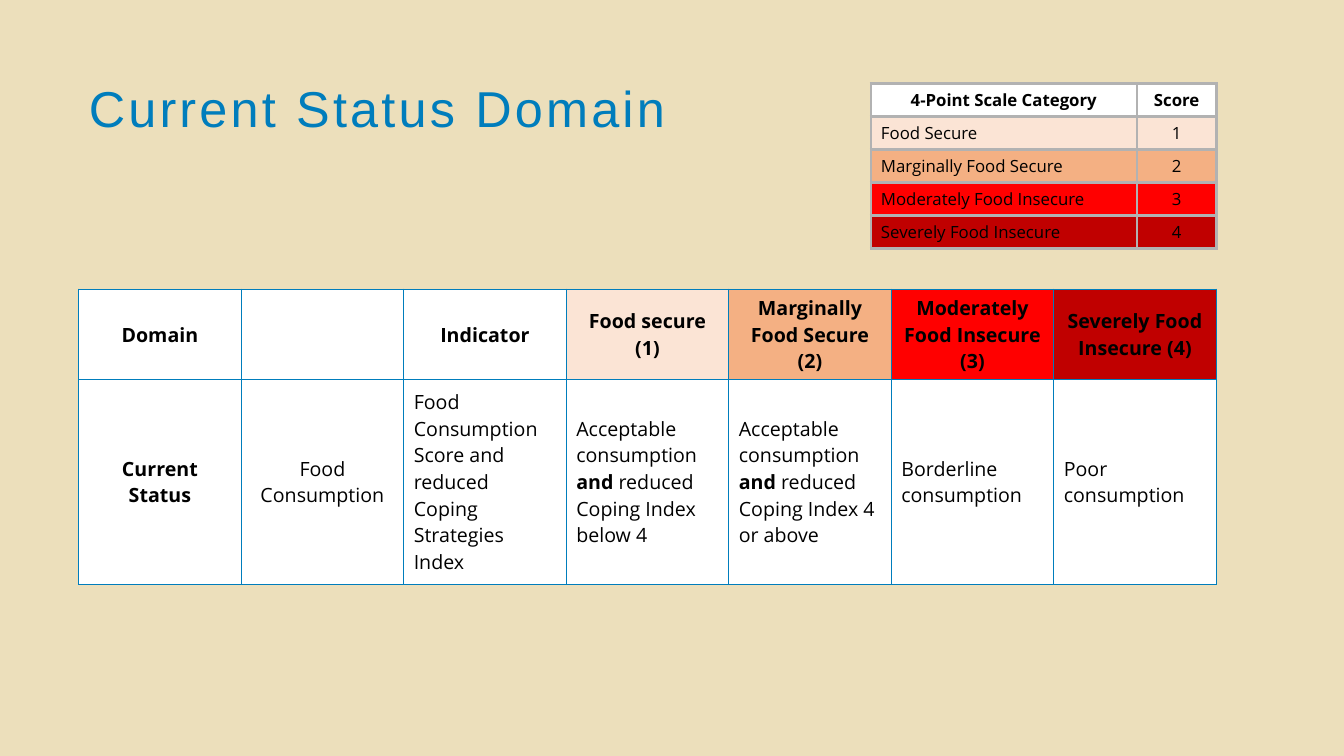
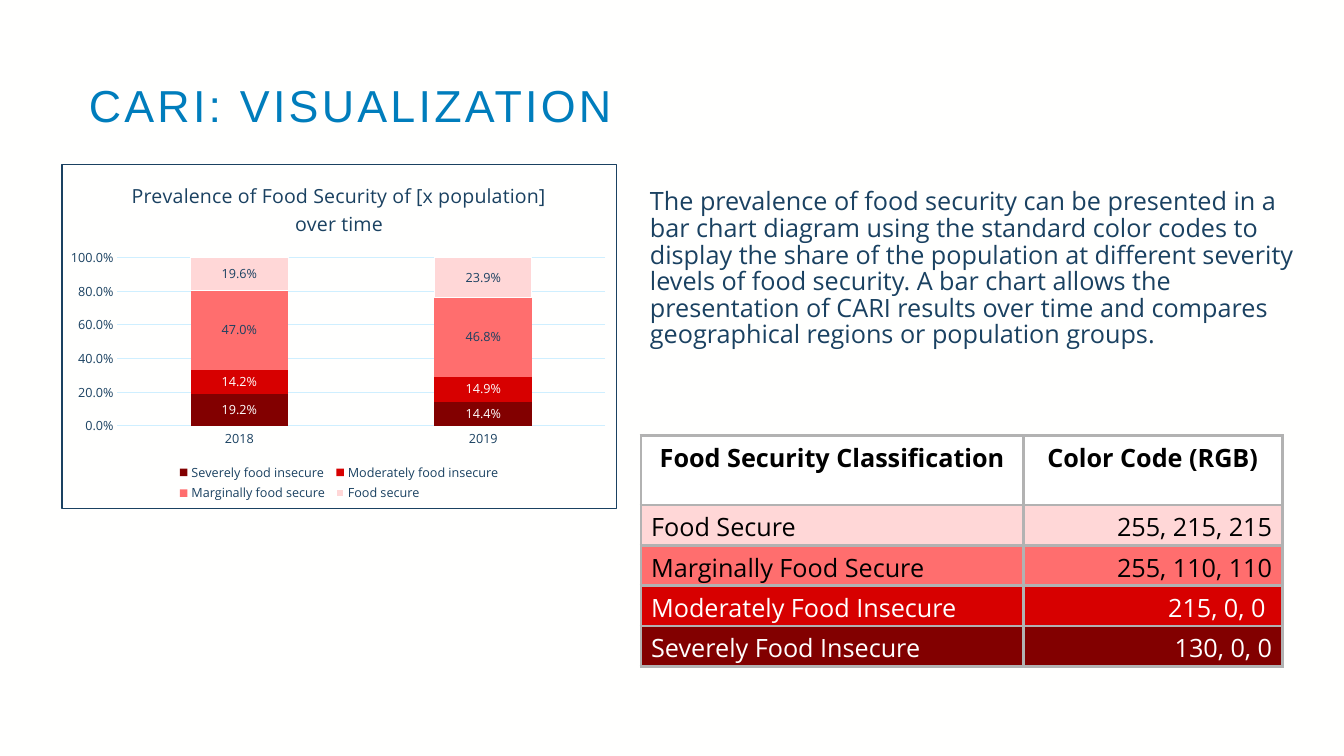
from dataclasses import dataclass

from lxml import etree
from pptx import Presentation
from pptx import util as u
from pptx.chart.data import CategoryChartData
from pptx.dml.color import RGBColor
from pptx.enum import chart as charts
from pptx.enum import text as texts
from pptx.oxml import ns, parse_xml

Pt = u.Pt
LEFT, CENTER, RIGHT = texts.PP_ALIGN.LEFT, texts.PP_ALIGN.CENTER, texts.PP_ALIGN.RIGHT

COLOURS = {
    "sand": "ECDFBB", "paper": "FFFFFE", "white": "FFFFFF", "black": "000000",
    "blue": "007DBC", "navy": "1A4161", "sky": "CFEFFF", "grey": "B2B2B2",
    "peach": "FBE4D5", "orange": "F4B083", "red": "FF0000", "dark red": "C00000",
    "rgb secure": "FFD7D7", "rgb marginal": "FF6E6E",
    "rgb moderate": "D70000", "rgb severe": "820000",
}
TITLE_FONT, BODY_FONT = "Arial", "Open Sans"
MARGIN = 56.2
TITLE_BOX = (MARGIN, 56.2, 870.5, 51.8)


@dataclass
class Cell:
    """Table cell; words between ** marks are bold."""
    words: str
    fill: str = "white"
    align: texts.PP_ALIGN = LEFT
    bold: bool = False
    colour: str = "black"


@dataclass
class Grid:
    left: float
    top: float
    widths: list[float]
    heights: list[float]
    size: float
    border: str
    border_width: float
    anchor: texts.MSO_ANCHOR
    bottom_margin: float = 3.6


@dataclass
class Level:
    """One severity level of the stacked chart."""
    name: str
    shares: tuple[float, float]
    fill: str
    label: str


def rgb(name: str) -> RGBColor:
    return RGBColor.from_string(COLOURS[name])


def style(font, size: float, colour: str, family: str = BODY_FONT, bold: bool = False) -> None:
    font.size, font.name, font.bold = Pt(size), family, bold
    font.color.rgb = rgb(colour)


def outline(tag: str, colour: str, width: float) -> str:
    return (f'<{tag} {ns.nsdecls("a")} w="{int(Pt(width))}"><a:solidFill>'
            f'<a:srgbClr val="{COLOURS[colour]}"/></a:solidFill></{tag}>')


def add_slide(deck, heading: str, size: float, background: str):
    slide = deck.slides.add_slide(deck.slide_layouts[5])
    slide.background.fill.solid()
    slide.background.fill.fore_color.rgb = rgb(background)
    title = slide.shapes.title
    title.left, title.top, title.width, title.height = map(Pt, TITLE_BOX)
    frame = title.text_frame
    frame.text = heading
    frame.auto_size = texts.MSO_AUTO_SIZE.NONE
    frame.vertical_anchor = texts.MSO_ANCHOR.TOP
    line = frame.paragraphs[0]
    line.alignment, line.line_spacing = LEFT, 0.9
    style(line.font, size, "blue", TITLE_FONT)
    for props in title.element.iter(ns.qn("a:defRPr")):
        props.set("spc", "230")
    return slide


def fill_cell(target, cell: Cell, grid: Grid) -> None:
    target.fill.solid()
    target.fill.fore_color.rgb = rgb(cell.fill)
    target.vertical_anchor = grid.anchor
    target.margin_bottom = Pt(grid.bottom_margin)
    line = target.text_frame.paragraphs[0]
    line.alignment = cell.align
    style(line.font, grid.size, cell.colour, bold=cell.bold)
    for i, part in enumerate(cell.words.split("**")):
        if part:
            run = line.add_run()
            run.text = part
            if i % 2:
                run.font.bold = True
    props = next(target.text_frame._txBody.getparent().iter(ns.qn("a:tcPr")))
    for i, side in enumerate("LRTB"):
        props.insert(i, parse_xml(outline(f"a:ln{side}", grid.border, grid.border_width)))


def add_grid(slide, grid: Grid, rows: list[list[Cell]]) -> None:
    table = slide.shapes.add_table(
        len(rows), len(grid.widths), Pt(grid.left), Pt(grid.top),
        Pt(sum(grid.widths)), Pt(sum(grid.heights))).table
    table.first_row = table.horz_banding = False
    for column, width in zip(table.columns, grid.widths):
        column.width = Pt(width)
    for r, (row, height) in enumerate(zip(rows, grid.heights)):
        table.rows[r].height = Pt(height)
        for c, cell in enumerate(row):
            fill_cell(table.cell(r, c), cell, grid)


def set_layout(part, left: float, top: float, width: float, height: float, inner: bool = False) -> None:
    """Place a chart part by fractions of the chart's size."""
    layout = part.find(ns.qn("c:layout"))
    if layout is None:
        layout = etree.Element(ns.qn("c:layout"))
        after = part.find(ns.qn("c:legendPos"))
        part.insert(0 if after is None else part.index(after) + 1, layout)
    manual = etree.SubElement(layout, ns.qn("c:manualLayout"))
    values = [("layoutTarget", "inner")] if inner else []
    values += [("xMode", "edge"), ("yMode", "edge"),
               ("x", left), ("y", top), ("w", width), ("h", height)]
    for tag, value in values:
        etree.SubElement(manual, ns.qn(f"c:{tag}")).set("val", str(value))


def add_prevalence_chart(slide, levels: list[Level]) -> None:
    data = CategoryChartData(number_format="0.0%")
    data.categories = ["2018", "2019"]
    for level in levels:
        data.add_series(level.name, level.shares)
    chart = slide.shapes.add_chart(
        charts.XL_CHART_TYPE.COLUMN_STACKED,
        Pt(43.9), Pt(117.4), Pt(396.7), Pt(246.2), data).chart
    style(chart.font, 10, "navy")
    chart.has_title = True
    heading = chart.chart_title.text_frame
    heading.text = "Prevalence of Food Security of [x population] over time"
    style(heading.paragraphs[0].font, 14, "navy")
    chart.chart_title.include_in_layout = False

    chart.has_legend = True
    chart.legend.position = charts.XL_LEGEND_POSITION.BOTTOM
    chart.legend.include_in_layout = False
    style(chart.legend.font, 9, "navy")

    years, shares = chart.category_axis, chart.value_axis
    for axis in (years, shares):
        axis.major_tick_mark = axis.minor_tick_mark = charts.XL_TICK_MARK.NONE
        style(axis.tick_labels.font, 9, "navy")
    shares.minimum_scale, shares.maximum_scale, shares.major_unit = 0, 1, 0.2
    shares.tick_labels.number_format = "0.0%"
    shares.tick_labels.number_format_is_linked = False
    shares.format.line.fill.background()
    for line in (years.format.line, shares.major_gridlines.format.line):
        line.color.rgb, line.width = rgb("sky"), Pt(0.75)

    plot = chart.plots[0]
    plot.gap_width, plot.overlap, plot.vary_by_categories = 150, 100, False
    for series, level in zip(plot.series, levels):
        series.format.fill.solid()
        series.format.fill.fore_color.rgb = rgb(level.fill)
        labels = series.data_labels
        labels.show_value = True
        labels.position = charts.XL_LABEL_POSITION.CENTER
        labels.number_format, labels.number_format_is_linked = "0.0%", False
        style(labels.font, 9, level.label)
    top_line = plot.series[-1].format.line
    top_line.color.rgb, top_line.width = rgb("white"), Pt(0.75)

    space = chart.element
    set_layout(next(space.iter(ns.qn("c:plotArea"))), 0.1, 0.27, 0.88, 0.49, inner=True)
    set_layout(chart.legend._element, 0.2, 0.86, 0.6, 0.13)
    frame = parse_xml(f'<c:spPr {ns.nsdecls("c", "a")}><a:noFill/>'
                      f'{outline("a:ln", "navy", 0.75)}</c:spPr>')
    space.find(ns.qn("c:chart")).addnext(frame)


def build_status_slide(deck) -> None:
    slide = add_slide(deck, "Current Status Domain", 36, "sand")
    middle = texts.MSO_ANCHOR.MIDDLE
    heads = [("Domain", "white"), ("", "white"), ("Indicator", "white"),
             ("Food secure (1)", "peach"), ("Marginally Food Secure (2)", "orange"),
             ("Moderately Food Insecure (3)", "red"), ("Severely Food Insecure (4)", "dark red")]
    details = ["Food Consumption Score and reduced Coping Strategies Index",
               "Acceptable consumption **and** reduced Coping Index below 4",
               "Acceptable consumption **and** reduced Coping Index 4 or above",
               "Borderline consumption", "Poor consumption"]
    add_grid(slide, Grid(MARGIN, 206.6, [116.1] * 7, [64, 146.2], 14, "blue", 1, middle), [
        [Cell(words, fill, CENTER, True) for words, fill in heads],
        [Cell("Current Status", align=CENTER, bold=True), Cell("Food Consumption", align=CENTER)]
        + [Cell(words) for words in details],
    ])
    scale = [("Food Secure", "peach"), ("Marginally Food Secure", "orange"),
             ("Moderately Food Insecure", "red"), ("Severely Food Insecure", "dark red")]
    add_grid(slide, Grid(622.1, 59.8, [190, 56.9], [23.5] * 5, 12, "grey", 2.25, middle), [
        [Cell(words, align=CENTER, bold=True) for words in ("4-Point Scale Category", "Score")],
        *[[Cell(words, fill), Cell(str(score), fill, CENTER)]
          for score, (words, fill) in enumerate(scale, 1)],
    ])


def build_visualization_slide(deck) -> None:
    slide = add_slide(deck, "CARI: VISUALIZATION", 32, "paper")
    frame = slide.shapes.add_textbox(Pt(457.2), Pt(131.8), Pt(480.2), Pt(138.2)).text_frame
    frame.word_wrap = True
    frame.text = (
        "The prevalence of food security can be presented in a bar chart diagram using the "
        "standard color codes to display the share of the population at different severity "
        "levels of food security. A bar chart allows the presentation of CARI results over "
        "time and compares geographical regions or population groups.")
    frame.paragraphs[0].line_spacing = 0.88
    style(frame.paragraphs[0].font, 18, "navy")

    codes = [("Food Secure", "255, 215, 215", "rgb secure", "black"),
             ("Marginally Food Secure", "255, 110, 110", "rgb marginal", "black"),
             ("Moderately Food Insecure", "215, 0, 0 ", "rgb moderate", "white"),
             ("Severely Food Insecure", "130, 0, 0", "rgb severe", "white")]
    grid = Grid(457.9, 311, [273, 185], [49.7] + [28.8] * 4, 18, "grey", 2.25,
                texts.MSO_ANCHOR.TOP, bottom_margin=0)
    add_grid(slide, grid, [
        [Cell(words, align=CENTER, bold=True)
         for words in ("Food Security Classification", "Color Code (RGB)")],
        *[[Cell(words, fill, colour=ink), Cell(code, fill, RIGHT, colour=ink)]
          for words, code, fill, ink in codes],
    ])
    add_prevalence_chart(slide, [
        Level("Severely food insecure", (0.192, 0.144), "rgb severe", "white"),
        Level("Moderately food insecure", (0.142, 0.149), "rgb moderate", "white"),
        Level("Marginally food secure", (0.47, 0.468), "rgb marginal", "navy"),
        Level("Food secure", (0.196, 0.239), "rgb secure", "navy"),
    ])


def main() -> None:
    deck = Presentation()
    deck.slide_width, deck.slide_height = Pt(960), Pt(540)
    build_status_slide(deck)
    build_visualization_slide(deck)
    deck.save("out.pptx")


if __name__ == "__main__":
    main()
